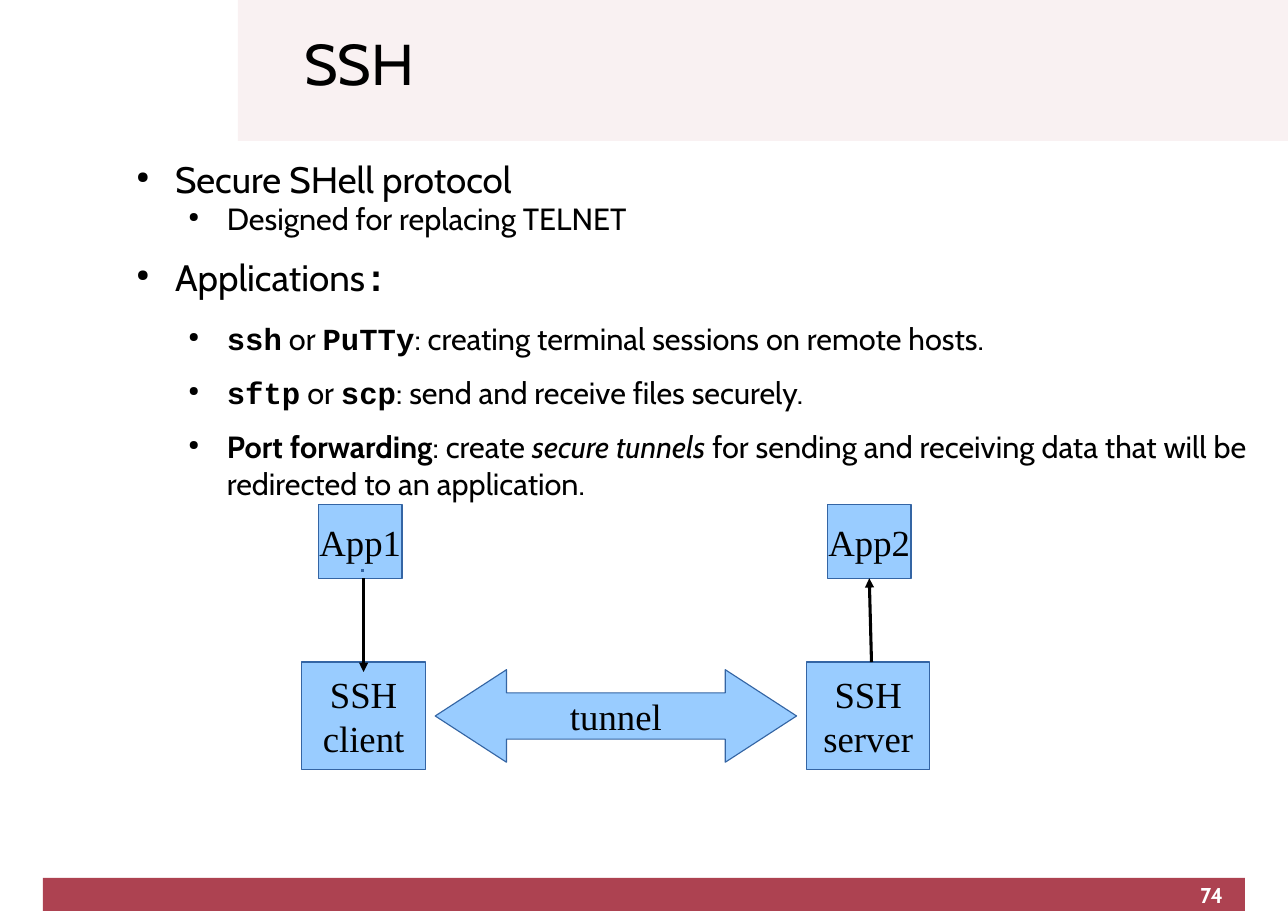
import dataclasses
import lxml.etree
import pptx
import pptx.dml.color
import pptx.enum.shapes
import pptx.enum.text
import pptx.oxml.ns
import pptx.util

SHAPES = pptx.enum.shapes.MSO_SHAPE
ALIGN = pptx.enum.text.PP_ALIGN
ANCHOR = pptx.enum.text.MSO_ANCHOR
PIXEL = 9144


@dataclasses.dataclass(frozen=True)
class Theme:
    header: str = "F9F1F2"
    footer: str = "AD4251"
    node: str = "99CCFF"
    outline: str = "3465A4"
    ink: str = "000000"
    paper: str = "FFFFFF"
    sans: str = "Cabin"
    serif: str = "Times New Roman"
    mono: str = "Courier New"
    title_size: float = 37.6
    large_size: int = 24
    body_size: int = 20
    number_size: int = 14


THEME = Theme()
MONO = {"font": THEME.mono, "bold": True}

OUTLINE = [
    (0, 0, [("Secure SHell protocol", {})]),
    (1, 11.3, [("Designed for replacing TELNET", {})]),
    (0, 14.1, [("Applications", {}), (":", MONO)]),
    (1, 11.3, [("ssh", MONO), (" or ", {}), ("PuTTy", MONO),
               (": creating terminal sessions on remote hosts.", {})]),
    (1, 11.3, [("sftp", MONO), (" or ", {}), ("scp", MONO),
               (": send and receive files securely.", {})]),
    (1, 11.3, [("Port forwarding", {"bold": True}), (": create ", {}),
               ("secure tunnels", {"italic": True}),
               (" for sending and receiving data that will be redirected to an application.", {})]),
]


def color(value):
    return pptx.dml.color.RGBColor.from_string(value)


def px(*values):
    return [value * PIXEL for value in values]


def add_element(parent, tag, **attributes):
    element = lxml.etree.SubElement(parent, pptx.oxml.ns.qn(tag))
    for name, value in attributes.items():
        element.set(name, str(value))
    return element


def add_text(paragraph, text, size=THEME.large_size, font=THEME.sans,
             fill=THEME.ink, bold=False, italic=False):
    run = paragraph.add_run()
    run.text = text
    run.font.size = pptx.util.Pt(size)
    run.font.name = font
    run.font.bold = bold
    run.font.italic = italic
    run.font.color.rgb = color(fill)


def add_text_box(slide, box, margins=(0, 0), anchor=ANCHOR.TOP):
    frame = slide.shapes.add_textbox(*px(*box)).text_frame
    frame.word_wrap = True
    frame.vertical_anchor = anchor
    frame.margin_left = frame.margin_right = margins[0] * PIXEL
    frame.margin_top = frame.margin_bottom = margins[1] * PIXEL
    return frame


def add_panel(slide, kind, box, fill, outline=None):
    shape = slide.shapes.add_shape(kind, *px(*box))
    shape.shadow.inherit = False
    shape.fill.solid()
    shape.fill.fore_color.rgb = color(fill)
    if outline:
        shape.line.color.rgb = color(outline)
        shape.line.width = 0
    else:
        shape.line.fill.background()
    return shape


def add_node(slide, box, lines, kind=SHAPES.RECTANGLE):
    shape = add_panel(slide, kind, box, THEME.node, THEME.outline)
    frame = shape.text_frame
    frame.word_wrap = False
    frame.vertical_anchor = ANCHOR.MIDDLE
    for index, line in enumerate(lines):
        paragraph = frame.add_paragraph() if index else frame.paragraphs[0]
        paragraph.alignment = ALIGN.CENTER
        add_text(paragraph, line, font=THEME.serif)
    return shape


def add_line(slide, start, end, stroke=THEME.ink, arrow=True):
    connector = slide.shapes.add_connector(
        pptx.enum.shapes.MSO_CONNECTOR.STRAIGHT, *px(*start, *end))
    connector.line.color.rgb = color(stroke)
    connector.line.width = 0
    properties = connector._element.spPr
    if arrow:
        add_element(properties.find(pptx.oxml.ns.qn("a:ln")), "a:tailEnd", type="triangle")
    add_element(properties, "a:effectLst")


def add_header(slide, box):
    left, top, width, height = box
    add_panel(slide, SHAPES.RECTANGLE, box, THEME.header)
    title_box = (left + 60, top - 6, width - 118, height + 10)
    frame = add_text_box(slide, title_box, anchor=ANCHOR.MIDDLE)
    frame.paragraphs[0].line_spacing = 0.8
    add_text(frame.paragraphs[0], "SSH", size=THEME.title_size)


def add_outline(slide, box):
    frame = add_text_box(slide, box, margins=(10, 5))
    for index, (level, space_after, runs) in enumerate(OUTLINE):
        paragraph = frame.add_paragraph() if index else frame.paragraphs[0]
        paragraph.level = level
        paragraph.space_after = pptx.util.Pt(space_after)
        properties = paragraph._p.get_or_add_pPr()
        properties.set("marL", str(47 * (level + 1) * PIXEL))
        properties.set("indent", str(-35 * PIXEL))
        bullet_color = add_element(properties, "a:buClr")
        add_element(bullet_color, "a:srgbClr", val=THEME.ink)
        add_element(properties, "a:buSzPct", val=45000)
        add_element(properties, "a:buChar", char="●")
        size = THEME.body_size if level else THEME.large_size
        for text, style in runs:
            add_text(paragraph, text, size=size, **style)


def add_diagram(slide, box):
    left, top, width, height = box
    host_width, host_height = 112, 98
    app_width, app_height = 76, 67
    host_top = top + height - host_height
    app_bottom = top + app_height
    server_left = left + width - host_width
    for host_left, app_left, app, host in (
            (left, left + 15, "App1", "client"),
            (server_left, server_left + 19, "App2", "server")):
        add_node(slide, (app_left, top, app_width, app_height), [app])
        add_node(slide, (host_left, host_top, host_width, host_height), ["SSH", host])
    gap = 9
    tunnel_left = left + host_width + gap
    tunnel_box = (tunnel_left, host_top + 7, server_left - gap - tunnel_left, host_height - 14)
    tunnel = add_node(slide, tunnel_box, ["tunnel"], SHAPES.LEFT_RIGHT_ARROW)
    tunnel.adjustments[0] = 0.5
    tunnel.adjustments[1] = 0.77
    client_center = left + host_width // 2
    server_center = server_left + host_width // 2
    add_line(slide, (client_center, app_bottom - 7), (client_center - 2, app_bottom - 7),
             THEME.outline, arrow=False)
    add_line(slide, (client_center, app_bottom), (client_center, host_top + 9))
    add_line(slide, (server_center + 3, host_top), (server_center + 1, app_bottom))


def add_footer(slide, box):
    left, top, width, height = box
    add_panel(slide, SHAPES.RECTANGLE, box, THEME.footer)
    frame = add_text_box(slide, (left + width - 292, top + 4, 272, height - 7))
    frame.paragraphs[0].alignment = ALIGN.RIGHT
    add_text(frame.paragraphs[0], "74", size=THEME.number_size, fill=THEME.paper, bold=True)


def main():
    presentation = pptx.Presentation()
    presentation.slide_width, presentation.slide_height = px(1169, 827)
    slide = presentation.slides.add_slide(presentation.slide_layouts[6])
    add_header(slide, (216, 0, 953, 128))
    add_footer(slide, (39, 797, 1091, 30))
    add_outline(slide, (102, 137, 1058, 546))
    add_diagram(slide, (274, 458, 570, 241))
    presentation.save("out.pptx")


if __name__ == "__main__":
    main()
